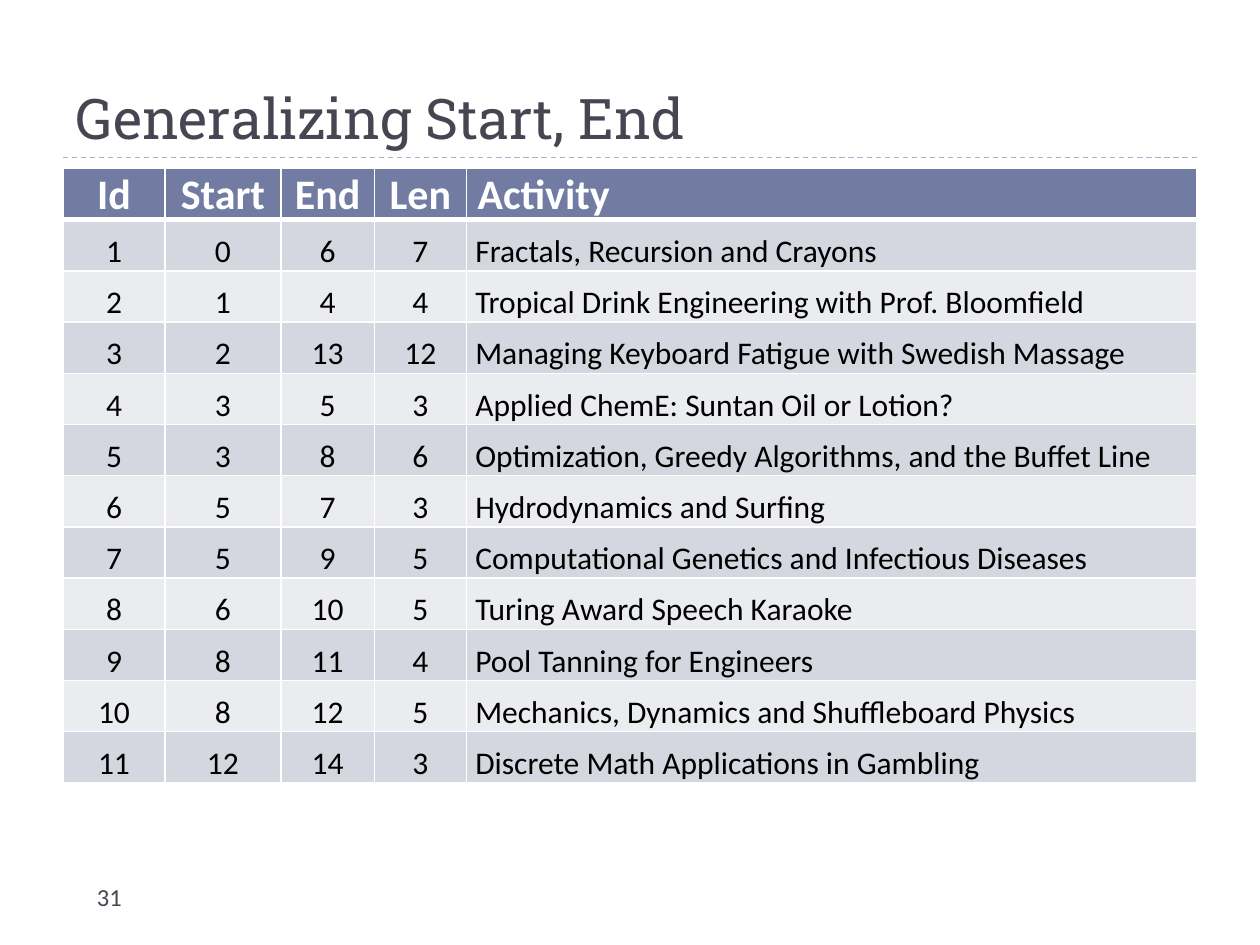
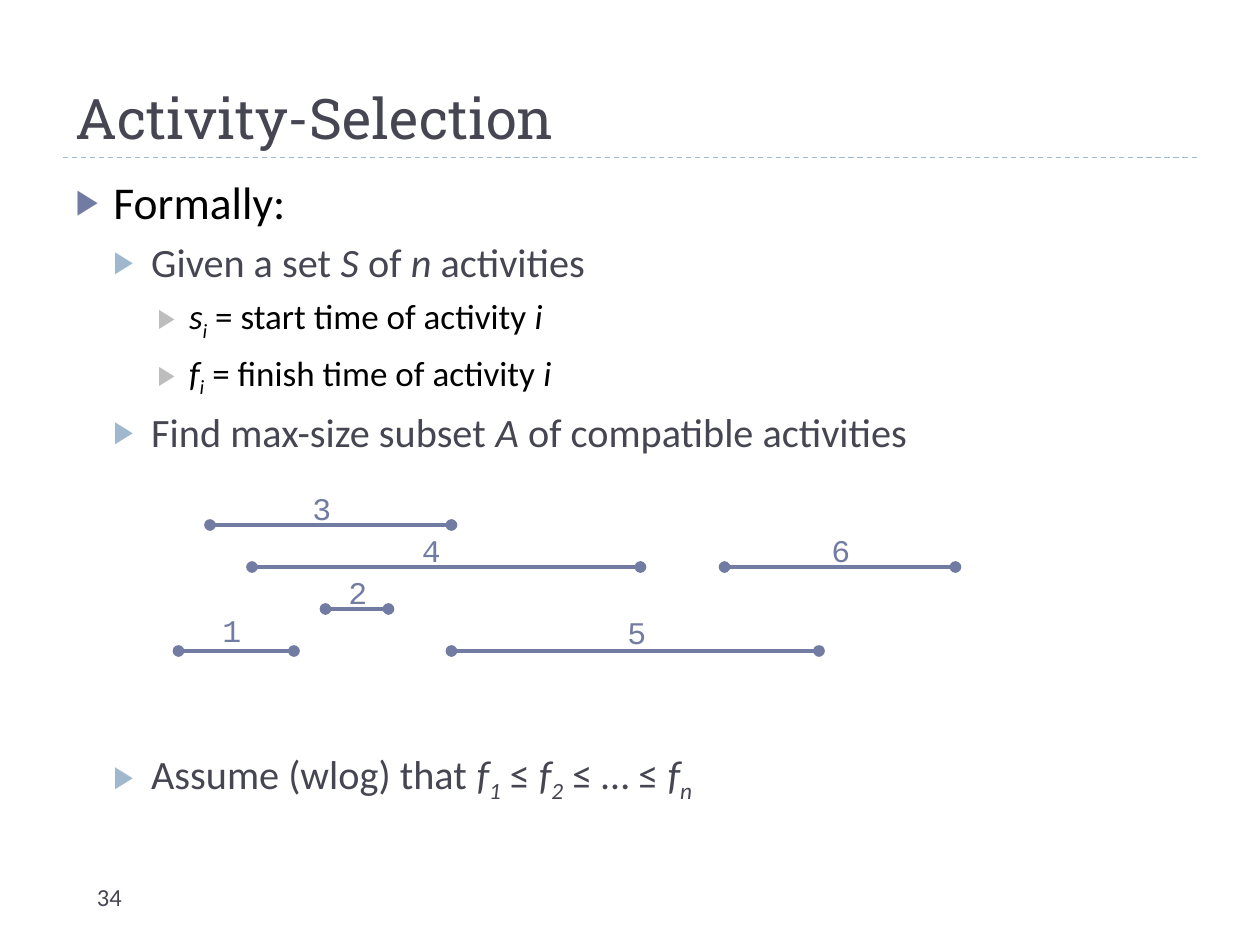
from lxml import etree
from pptx import Presentation
from pptx import util as u
from pptx.dml.color import RGBColor
from pptx.enum import dml, shapes, text
from pptx.oxml.ns import qn

Pt = u.Pt
INK, BLACK, WHITE = "464653", "000000", "FFFFFF"
INDIGO, SKY, SILVER = "727CA3", "9FB8CD", "BDBDBD"
STRIPES = ["EBECF0", "D5D7E0"]
SANS, SLAB, MONO = "Calibri", "Roboto Slab", "Courier New"


def style(span, size, font, hex_color):
    span.font.size = Pt(size)
    span.font.name = font
    span.font.color.rgb = RGBColor.from_string(hex_color)


def draw_line(canvas, left, right, y, hex_color, width):
    line = canvas.add_connector(shapes.MSO_CONNECTOR.STRAIGHT, Pt(left), Pt(y), Pt(right), Pt(y))
    line.line.color.rgb = RGBColor.from_string(hex_color)
    line.line.width = Pt(width)
    etree.SubElement(line._element.spPr, qn("a:effectLst"))
    return line


deck = Presentation()
deck.slide_width, deck.slide_height = Pt(720), Pt(540)

for heading, number, layout in [("Generalizing Start, End", "31", 5), ("Activity-Selection", "34", 1)]:
    page = deck.slides.add_slide(deck.slide_layouts[layout])
    rule = draw_line(page.shapes, 36, 684, 90, SKY, 0.75)
    rule.line.dash_style = dml.MSO_LINE.DASH

    title = page.shapes.title
    title.left, title.top, title.width, title.height = Pt(36), Pt(12), Pt(648), Pt(78)
    title.text_frame.auto_size = text.MSO_AUTO_SIZE.NONE
    title.text_frame.vertical_anchor = text.MSO_ANCHOR.BOTTOM
    para = title.text_frame.paragraphs[0]
    para.alignment = text.PP_ALIGN.LEFT
    span = para.add_run()
    span.text = heading
    style(span, 32, SLAB, INK)

    box = page.shapes.add_textbox(Pt(48.24), Pt(500.4), Pt(156), Pt(28.8))
    box.text_frame.word_wrap = True
    span = box.text_frame.paragraphs[0].add_run()
    span.text = number
    style(span, 14, SANS, INK)

table_page, selection_page = deck.slides

schedule = [
    ("Id", "Start", "End", "Len", "Activity"),
    (1, 0, 6, 7, "Fractals, Recursion and Crayons"),
    (2, 1, 4, 4, "Tropical Drink Engineering with Prof. Bloomfield"),
    (3, 2, 13, 12, "Managing Keyboard Fatigue with Swedish Massage"),
    (4, 3, 5, 3, "Applied ChemE: Suntan Oil or Lotion?"),
    (5, 3, 8, 6, "Optimization, Greedy Algorithms, and the Buffet Line"),
    (6, 5, 7, 3, "Hydrodynamics and Surfing"),
    (7, 5, 9, 5, "Computational Genetics and Infectious Diseases"),
    (8, 6, 10, 5, "Turing Award Speech Karaoke"),
    (9, 8, 11, 4, "Pool Tanning for Engineers"),
    (10, 8, 12, 5, "Mechanics, Dynamics and Shuffleboard Physics"),
    (11, 12, 14, 3, "Discrete Math Applications in Gambling"),
]
widths = [58.3, 66.2, 53.5, 52.6, 417.4]
row_height = 29.28
table = table_page.shapes.add_table(
    len(schedule), len(widths), Pt(36), Pt(96), Pt(sum(widths)), Pt(row_height * len(schedule))
).table
for column, width in zip(table.columns, widths):
    column.width = Pt(width)

for r, values in enumerate(schedule):
    table.rows[r].height = Pt(row_height)
    header = r == 0
    for c, value in enumerate(values):
        cell = table.cell(r, c)
        is_activity = c == len(widths) - 1
        cell.margin_left = cell.margin_right = cell.margin_top = Pt(0.72)
        cell.margin_bottom = 0
        if is_activity:
            cell.margin_left = Pt(6.4 if header else 5.1)
        cell.vertical_anchor = text.MSO_ANCHOR.BOTTOM
        borders = {"L": 1, "R": 1, "T": 3 if r == 1 else 1, "B": 3 if header else 1}
        for side, width in borders.items():
            border = etree.SubElement(cell._tc.get_or_add_tcPr(), qn("a:ln" + side), w=str(Pt(width)))
            fill = etree.SubElement(border, qn("a:solidFill"))
            etree.SubElement(fill, qn("a:srgbClr"), val=WHITE)
        cell.fill.solid()
        cell.fill.fore_color.rgb = RGBColor.from_string(INDIGO if header else STRIPES[r % 2])
        para = cell.text_frame.paragraphs[0]
        para.alignment = text.PP_ALIGN.LEFT if is_activity else text.PP_ALIGN.CENTER
        span = para.add_run()
        span.text = str(value)
        style(span, 24 if header else 18, SANS, WHITE if header else BLACK)
        span.font.bold = header

levels = [
    (26, BLACK, INDIGO, 21.6, 21.6),
    (23, INK, SKY, 43.2, 21.6),
    (20, BLACK, SILVER, 64.8, 18),
]
outline = [
    (0, 0, [("Formally:", "")]),
    (1, 5, [("Given a set ", ""), ("S", "i"), (" of ", ""), ("n", "i"), (" activities", "")]),
    (2, 5, [("s", "i"), ("i", "sub"), (" = start time of activity ", ""), ("i", "i")]),
    (2, 5, [("f", "i"), ("i", "sub"), (" = finish time of activity ", ""), ("i", "i")]),
    (1, 5, [("Find max-size subset ", ""), ("A", "i"), (" of compatible activities", "")]),
    (1, 167.5, [("Assume (wlog) that ", ""), ("f", "i"), ("1", "sub"), (" ≤ ", ""), ("f", "i"),
                ("2", "sub"), (" ≤ … ≤ ", ""), ("f", "i"), ("n", "sub")]),
]
body = selection_page.placeholders[1]
body.left, body.top, body.width, body.height = Pt(36), Pt(96), Pt(648), Pt(388.8)
frame = body.text_frame
frame.auto_size = text.MSO_AUTO_SIZE.NONE
for index, (level, gap, spans) in enumerate(outline):
    size, ink, bullet_color, indent, hanging = levels[level]
    para = frame.add_paragraph() if index else frame.paragraphs[0]
    para.level = level
    para.alignment = text.PP_ALIGN.JUSTIFY
    para.space_before = Pt(gap)
    props = para._p.get_or_add_pPr()
    props.set("marL", str(Pt(indent)))
    props.set("indent", str(-Pt(hanging)))
    color = etree.SubElement(props, qn("a:buClr"))
    etree.SubElement(color, qn("a:srgbClr"), val=bullet_color)
    etree.SubElement(props, qn("a:buSzPct"), val="76000")
    etree.SubElement(props, qn("a:buChar"), char="▶")
    for words, look in spans:
        span = para.add_run()
        span.text = words
        style(span, size, SANS, ink)
        span.font.italic = look != ""
        if look == "sub":
            span.font._element.set("baseline", "-25000")

activities = [
    ("1", 102, 168, 372, 120, 345.6),
    ("2", 186, 222, 348, 192, 324),
    ("3", 120, 258, 300, 171.4, 276),
    ("4", 144, 366, 324, 234, 300),
    ("5", 258, 468, 372, 351.4, 347),
    ("6", 414, 546, 324, 468, 300),
]
timeline = selection_page.shapes.add_group_shape().shapes
for label, start, finish, y, label_left, label_top in activities:
    bar = draw_line(timeline, start, finish, y, INDIGO, 2.25)
    for end in ("headEnd", "tailEnd"):
        etree.SubElement(bar.line._get_or_add_ln(), qn("a:" + end), type="oval")
    box = timeline.add_textbox(Pt(label_left), Pt(label_top), Pt(26.6), Pt(31))
    box.text_frame.word_wrap = False
    span = box.text_frame.paragraphs[0].add_run()
    span.text = label
    style(span, 18, MONO, INDIGO)

deck.save("out.pptx")
